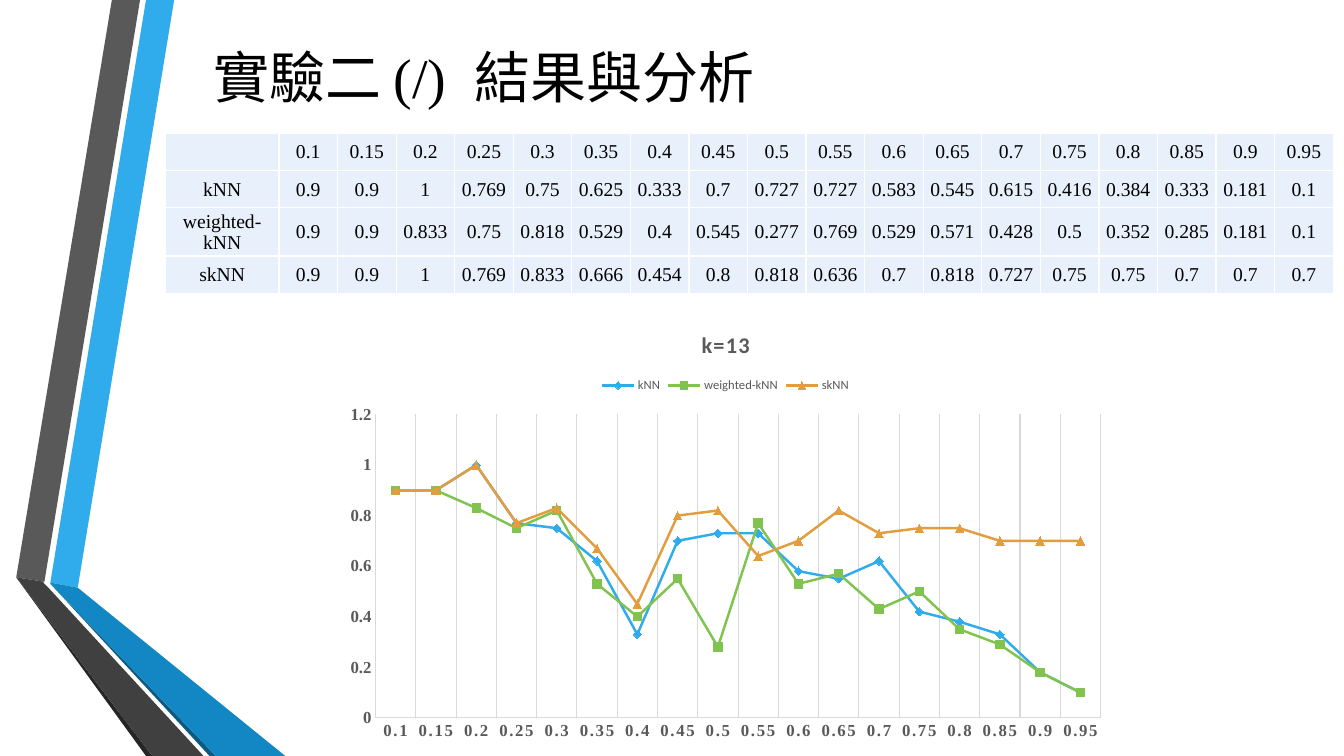
from pptx import Presentation
from pptx.chart.data import CategoryChartData
from pptx.dml.color import RGBColor
from pptx.enum.chart import (
    XL_CHART_TYPE as ChartType,
    XL_LEGEND_POSITION as LegendPosition,
    XL_MARKER_STYLE as Marker,
    XL_TICK_MARK as TickMark,
)
from pptx.enum.text import MSO_ANCHOR as Anchor, PP_ALIGN as Align
from pptx.util import Cm, Pt

BLACK = RGBColor(0x00, 0x00, 0x00)
CELL_BLUE = RGBColor(0xE8, 0xF1, 0xFB)
AXIS_GRAY = RGBColor(0xD9, 0xD9, 0xD9)
GRAY = RGBColor(0x59, 0x59, 0x59)
MID_GRAY = RGBColor(0x40, 0x40, 0x40)
DARK_GRAY = RGBColor(0x26, 0x26, 0x26)
BLUE = RGBColor(0x30, 0xAC, 0xEC)
MID_BLUE = RGBColor(0x12, 0x87, 0xC3)
DARK_BLUE = RGBColor(0x0C, 0x5A, 0x82)
GREEN = RGBColor(0x80, 0xC3, 0x4F)
ORANGE = RGBColor(0xE2, 0x9D, 0x3E)

SERIF = "Times New Roman"
SANS = "Calibri"

# Ribbon corners in centimetres, from back to front
RIBBONS = [
    (BLUE, [(1.27, 14.68), (1.96, 14.81), (4.39, 0), (3.68, 0)]),
    (GRAY, [(3.53, 0), (2.82, 0), (0.41, 14.55), (1.12, 14.66)]),
    (DARK_GRAY, [(0.41, 14.55), (3.68, 19.05), (3.84, 19.05)]),
    (DARK_BLUE, [(1.27, 14.71), (5.28, 19.05), (5.44, 19.05)]),
    (MID_BLUE, [(1.27, 14.71), (5.44, 19.05), (7.19, 19.05),
                (1.96, 14.81), (1.27, 14.68)]),
    (MID_GRAY, [(5.13, 19.05), (1.22, 14.81), (1.09, 14.68),
                (1.12, 14.66), (0.41, 14.55), (3.84, 19.05)]),
]

THRESHOLDS = [f"{step * 0.05:.2f}".rstrip("0") for step in range(2, 20)]
# The table cuts its figures off after three digits
TABLE_RESULTS = {
    "kNN": [0.9, 0.9, 1, 0.769, 0.75, 0.625, 0.333, 0.7, 0.727, 0.727,
            0.583, 0.545, 0.615, 0.416, 0.384, 0.333, 0.181, 0.1],
    "weighted-kNN": [0.9, 0.9, 0.833, 0.75, 0.818, 0.529, 0.4, 0.545, 0.277,
                     0.769, 0.529, 0.571, 0.428, 0.5, 0.352, 0.285, 0.181, 0.1],
    "skNN": [0.9, 0.9, 1, 0.769, 0.833, 0.666, 0.454, 0.8, 0.818, 0.636,
             0.7, 0.818, 0.727, 0.75, 0.75, 0.7, 0.7, 0.7],
}
# The chart rounds the full figures to two digits
CHART_SERIES = [
    ("kNN", BLUE, Marker.DIAMOND,
     [0.9, 0.9, 1, 0.77, 0.75, 0.62, 0.33, 0.7, 0.73, 0.73,
      0.58, 0.55, 0.62, 0.42, 0.38, 0.33, 0.18, 0.1]),
    ("weighted-kNN", GREEN, Marker.SQUARE,
     [0.9, 0.9, 0.83, 0.75, 0.82, 0.53, 0.4, 0.55, 0.28,
      0.77, 0.53, 0.57, 0.43, 0.5, 0.35, 0.29, 0.18, 0.1]),
    ("skNN", ORANGE, Marker.TRIANGLE,
     [0.9, 0.9, 1, 0.77, 0.83, 0.67, 0.45, 0.8, 0.82, 0.64,
      0.7, 0.82, 0.73, 0.75, 0.75, 0.7, 0.7, 0.7]),
]


def style_font(font, name, size, color, bold=False):
    font.name = name
    font.size = Pt(size)
    font.color.rgb = color
    font.bold = bold


def space_letters(font, points):
    """Widen the gaps between letters, which python-pptx has no property for."""
    font._rPr.set("spc", str(int(points * 100)))


def style_line(line, color, width):
    line.color.rgb = color
    line.width = Pt(width)


def add_ribbon(slide, color, corners):
    start, *others = [(Cm(x), Cm(y)) for x, y in corners]
    builder = slide.shapes.build_freeform(*start)
    builder.add_line_segments(others, close=True)
    shape = builder.convert_to_shape()
    shape.shadow.inherit = False
    shape.fill.solid()
    shape.fill.fore_color.rgb = color
    shape.line.fill.background()


def add_title(slide, text):
    box = slide.shapes.add_textbox(Cm(5.13), Cm(0.94), Cm(26.31), Cm(1.96))
    box.text_frame.word_wrap = True
    paragraph = box.text_frame.paragraphs[0]
    paragraph.text = text
    style_font(paragraph.font, SERIF, 40, BLACK)


def fill_cell(cell, text):
    cell.fill.solid()
    cell.fill.fore_color.rgb = CELL_BLUE
    cell.vertical_anchor = Anchor.MIDDLE
    cell.margin_left = cell.margin_right = cell.margin_top = Cm(0.03)
    cell.margin_bottom = 0
    paragraph = cell.text_frame.paragraphs[0]
    paragraph.text = text
    paragraph.alignment = Align.CENTER
    style_font(paragraph.font, SERIF, 14, BLACK)


def add_result_table(slide):
    rows = [["", *THRESHOLDS]]
    rows += [[name, *map(str, values)] for name, values in TABLE_RESULTS.items()]
    table_width, name_width = 29.43, 2.86
    value_width = (table_width - name_width) / len(THRESHOLDS)
    widths = [name_width] + [value_width] * len(THRESHOLDS)
    heights = [0.94, 0.94, 1.22, 0.94]
    table = slide.shapes.add_table(
        len(rows), len(widths), Cm(4.17), Cm(3.35),
        Cm(table_width), Cm(sum(heights))).table
    table.first_row = table.horz_banding = False
    for column, width in zip(table.columns, widths):
        column.width = Cm(width)
    for row, height, texts in zip(table.rows, heights, rows):
        row.height = Cm(height)
        for cell, text in zip(row.cells, texts):
            fill_cell(cell, text)


def style_axis(axis):
    axis.major_tick_mark = axis.minor_tick_mark = TickMark.NONE
    style_line(axis.format.line, AXIS_GRAY, 0.75)
    style_font(axis.tick_labels.font, SERIF, 12, GRAY, bold=True)


def style_series(series, color, marker_style):
    series.smooth = False
    style_line(series.format.line, color, 1.75)
    series.marker.style = marker_style
    series.marker.size = 6
    series.marker.format.fill.solid()
    series.marker.format.fill.fore_color.rgb = color
    style_line(series.marker.format.line, color, 0.75)


def add_result_chart(slide):
    data = CategoryChartData()
    data.categories = THRESHOLDS
    for name, _, _, values in CHART_SERIES:
        data.add_series(name, values)
    chart = slide.shapes.add_chart(
        ChartType.LINE_MARKERS, Cm(8.44), Cm(7.86), Cm(19.69), Cm(11), data).chart
    style_font(chart.font, SANS, 10, BLACK)

    title = chart.chart_title
    title.include_in_layout = False
    title.text_frame.text = "k=13"
    title_font = title.text_frame.paragraphs[0].runs[0].font
    style_font(title_font, SANS, 16, GRAY, bold=True)
    space_letters(title_font, 1)

    chart.has_legend = True
    chart.legend.position = LegendPosition.TOP
    chart.legend.include_in_layout = False
    style_font(chart.legend.font, SANS, 9, GRAY)

    category_axis, value_axis = chart.category_axis, chart.value_axis
    style_axis(category_axis)
    space_letters(category_axis.tick_labels.font, 1.2)
    category_axis.has_major_gridlines = True
    style_line(category_axis.major_gridlines.format.line, AXIS_GRAY, 0.75)
    style_axis(value_axis)
    value_axis.has_major_gridlines = False
    value_axis.minimum_scale = 0
    value_axis.maximum_scale = 1.2
    value_axis.major_unit = 0.2

    chart.plots[0].vary_by_categories = False
    for series, (_, color, marker_style, _) in zip(chart.series, CHART_SERIES):
        style_series(series, color, marker_style)


def main():
    presentation = Presentation()
    presentation.slide_width = Cm(33.87)
    presentation.slide_height = Cm(19.05)
    slide = presentation.slides.add_slide(presentation.slide_layouts[6])
    for color, corners in RIBBONS:
        add_ribbon(slide, color, corners)
    add_title(slide, "實驗二 (/)  結果與分析")
    add_result_table(slide)
    add_result_chart(slide)
    presentation.save("out.pptx")


if __name__ == "__main__":
    main()
